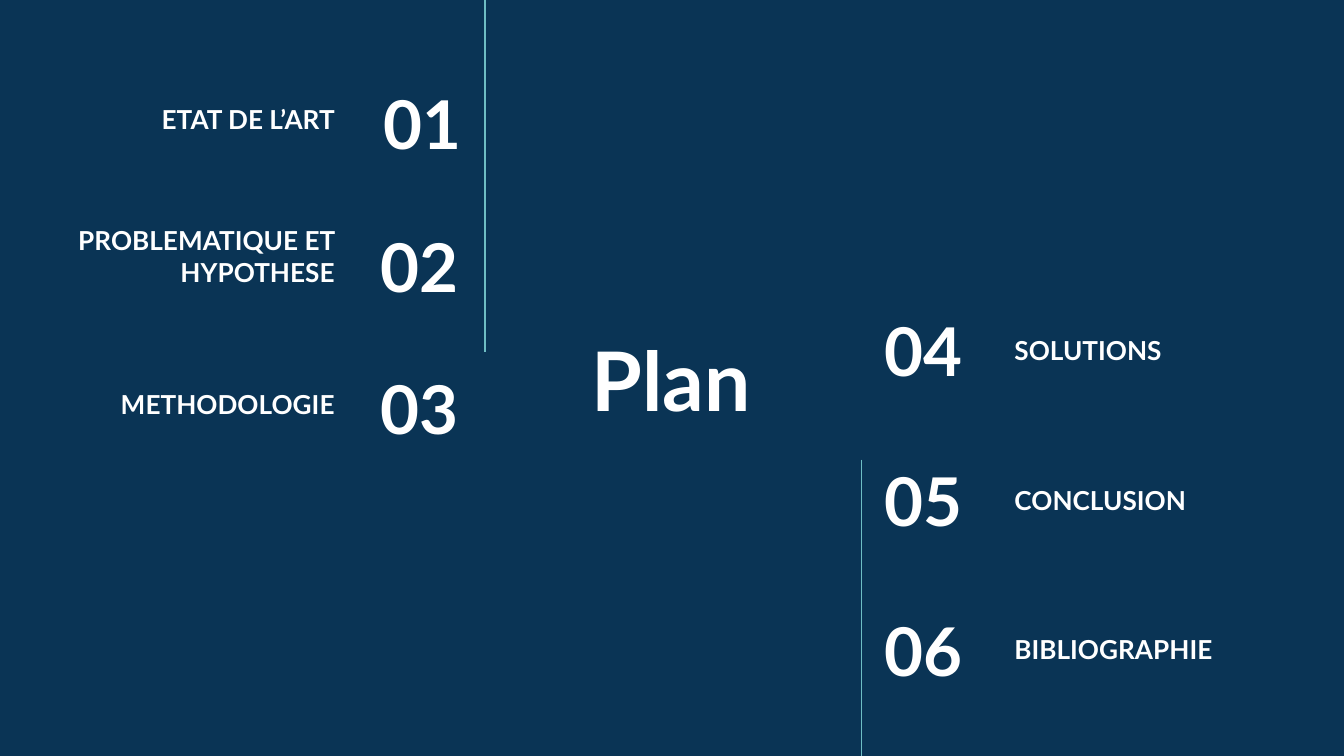
from lxml import etree
from pptx import Presentation
from pptx import util as u
from pptx.dml.color import RGBColor
from pptx.enum import shapes, text
from pptx.oxml import ns

WIDE = 10
HIGH = WIDE * 9 / 16
LEFT, MID, RIGHT = text.PP_ALIGN.LEFT, text.PP_ALIGN.CENTER, text.PP_ALIGN.RIGHT
MIDDLE, BOTTOM = text.MSO_ANCHOR.MIDDLE, text.MSO_ANCHOR.BOTTOM


def color(code):
    return RGBColor.from_string(code)


def write(shape, words, size=14, align=LEFT, anchor=MIDDLE, font="Lato", ink="FFFFFF"):
    frame = shape.text_frame
    frame.word_wrap = True
    frame.auto_size = text.MSO_AUTO_SIZE.NONE
    frame.vertical_anchor = anchor
    frame.margin_left = frame.margin_right = u.Inches(0.1)
    frame.margin_top = frame.margin_bottom = u.Inches(0.1)
    frame.text = words
    line = frame.paragraphs[0]
    line.alignment = align
    face = line.runs[0].font
    face.name, face.size, face.bold = font, u.Pt(size), True
    face.color.rgb = color(ink)


class Plan:
    back, rule = "0A3455", "6EBDC4"

    def __init__(self, deck):
        self.slide = deck.slides.add_slide(deck.slide_layouts[5])
        fill = self.slide.background.fill
        fill.solid()
        fill.fore_color.rgb = color(self.back)

    def title(self, words, left, top, width, height):
        head = self.slide.shapes.title
        head.left, head.top = u.Inches(left), u.Inches(top)
        head.width, head.height = u.Inches(width), u.Inches(height)
        write(head, words, size=44, align=MID)

    def label(self, words, left, top, width, **style):
        box = self.slide.shapes.add_textbox(
            u.Inches(left), u.Inches(top), u.Inches(width), u.Inches(0.63))
        write(box, words, **style)

    def line(self, x, top, end):
        bar = self.slide.shapes.add_connector(
            shapes.MSO_CONNECTOR.STRAIGHT,
            u.Inches(x), u.Inches(top), u.Inches(x), u.Inches(end))
        bar.line.color.rgb = color(self.rule)
        bar.line.width = u.Pt(0.75)
        etree.SubElement(bar._element.spPr, ns.qn("a:effectLst"))


def main():
    deck = Presentation()
    deck.slide_width, deck.slide_height = u.Inches(WIDE), u.Inches(HIGH)
    plan = Plan(deck)
    plan.title("Plan", 3.7, 2.3, 2.59, 1.03)

    # Vertical rules beside each column
    plan.line(3.61, 0, 2.62)
    plan.line(6.41, 3.42, HIGH)

    # Columns: name, left and top of name, left and top of number
    left = [
        ("ETAT DE L’ART", 0.43, 0.47, 2.32, 0.6),
        ("PROBLEMATIQUE ET HYPOTHESE", 0.43, 1.61, 2.3, 1.66),
        ("METHODOLOGIE", 0.43, 2.59, 2.3, 2.72),
    ]
    right = [
        ("SOLUTIONS", 7.45, 2.19, 6.48, 2.29),
        ("CONCLUSION", 7.45, 3.31, 6.48, 3.4),
        ("BIBLIOGRAPHIE", 7.45, 4.42, 6.48, 4.52),
    ]
    for num, (name, x, y, num_x, num_y) in enumerate(left + right, 1):
        align, width = (RIGHT, 1.21) if num <= len(left) else (LEFT, 1.17)
        plan.label(name, x, y, 2.16, align=align, anchor=BOTTOM)
        plan.label(f"{num:02}", num_x, num_y, width, size=36, align=align)

    deck.save("out.pptx")


if __name__ == "__main__":
    main()
